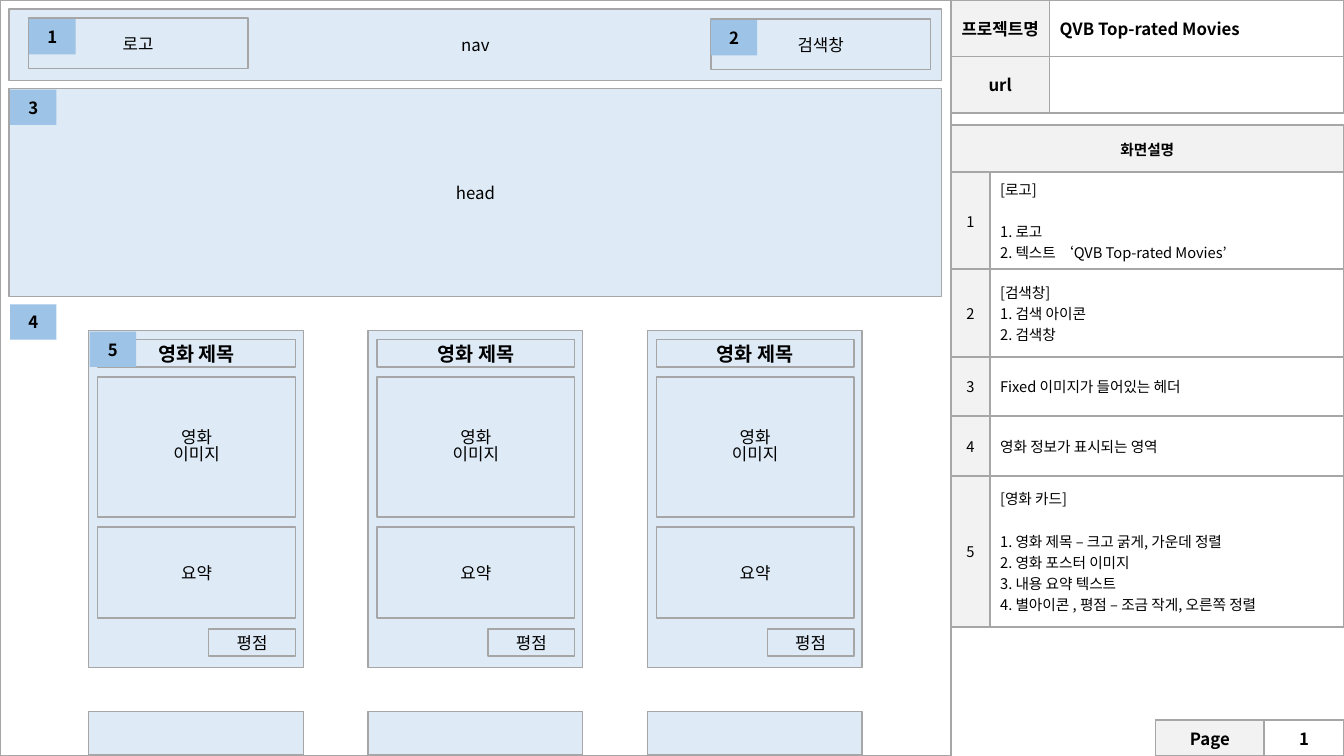
from pptx import Presentation
from pptx.dml.color import RGBColor
from pptx.enum.shapes import MSO_SHAPE
from pptx.enum.text import MSO_ANCHOR, PP_ALIGN
from pptx.oxml.ns import qn
from pptx.util import Inches, Pt
from lxml import etree

RECTANGLE = MSO_SHAPE.RECTANGLE
MIDDLE = MSO_ANCHOR.MIDDLE
LEFT, CENTER = PP_ALIGN.LEFT, PP_ALIGN.CENTER

# Content
FONT = "Noto Sans CJK KR"
COLORS = {"panel": "DEEBF7", "badge": "9DC3E6", "line": "A6A6A6",
          "label": "F2F2F2", "paper": "FFFFFF", "text": "000000"}
PROJECT = [("프로젝트명", "QVB Top-rated Movies"), ("url", "")]
PAGE = [("Page", "1")]
HEADING = "화면설명"
# Each description is a list of blocks, parted by a gap; each block is a list of lines
DESCRIPTIONS = [
    [["[로고]"], ["1. 로고", "2. 텍스트 ‘QVB Top-rated Movies’"]],
    [["[검색창]", "1. 검색 아이콘", "2. 검색창"]],
    [["Fixed 이미지가 들어있는 헤더"]],
    [["영화 정보가 표시되는 영역"]],
    [["[영화 카드]"], ["1. 영화 제목 – 크고 굵게, 가운데 정렬", "2. 영화 포스터 이미지",
                    "3. 내용 요약 텍스트", "4. 별아이콘 , 평점 – 조금 작게, 오른쪽 정렬"]],
]
# Boxes: lines, left, top, width, height
PANELS = [
    (["nav"], 0.09, 0.09, 9.25, 0.71),
    (["head"], 0.09, 0.88, 9.25, 2.06),
    (["로고"], 0.28, 0.18, 2.18, 0.5),
    (["검색창"], 7.05, 0.19, 2.18, 0.5),
]
# Card parts, with left and top measured from the corner of the card
CARD_PARTS = [
    (["영화", "이미지"], 0.09, 0.46, 1.96, 1.39, {"spacing": 0.82}),
    (["영화 제목"], 0.09, 0.09, 1.96, 0.27, {"size": 14, "bold": True}),
    (["요약"], 0.09, 1.95, 1.96, 0.9, {}),
    (["평점"], 1.19, 2.96, 0.86, 0.27, {}),
]
BADGES = [(0.29, 0.19), (7.05, 0.2), (0.1, 0.89), (0.1, 3.02), (0.89, 3.29)]

# Layout
SIDE_LEFT, SIDE_WIDTH = 9.43, 3.9
CARD_LEFT, CARD_STEP, CARD_WIDTH, CARD_COUNT = 0.88, 2.77, 2.13, 3
CARD_TOP, CARD_HEIGHT = 3.28, 3.34
NEXT_TOP, NEXT_HEIGHT = 7.06, 0.43
DESCRIPTION_ROWS = [0.47, 0.96, 0.87, 0.59, 0.59, 1.5]
BLOCK_GAP = 15.2

presentation = Presentation()
presentation.slide_width = Inches(13.33)
presentation.slide_height = Inches(7.5)
slide = presentation.slides.add_slide(presentation.slide_layouts[6])


def color(name):
    return RGBColor.from_string(COLORS[name])


def write(text_frame, blocks, size=12, bold=False, align=CENTER, spacing=None):
    """Fill a text frame with blocks of lines, one paragraph a line."""
    text_frame.word_wrap = True
    paragraph = None
    for block_index, block in enumerate(blocks):
        for line_index, line in enumerate(block):
            paragraph = text_frame.add_paragraph() if paragraph else text_frame.paragraphs[0]
            paragraph.alignment = align
            if spacing:
                paragraph.line_spacing = spacing
            if block_index and not line_index:
                paragraph.space_before = Pt(BLOCK_GAP)
            run = paragraph.add_run()
            run.text = line
            run.font.name = FONT
            run.font.size = Pt(size)
            run.font.bold = bold
            run.font.color.rgb = color("text")
            east_asian = etree.SubElement(run.font._element, qn("a:ea"))
            east_asian.set("typeface", FONT)


def add_box(left, top, width, height, fill="panel", line=1, lines=(), **text_format):
    shape = slide.shapes.add_shape(
        RECTANGLE, Inches(left), Inches(top), Inches(width), Inches(height))
    shape.shadow.inherit = False
    if fill:
        shape.fill.solid()
        shape.fill.fore_color.rgb = color(fill)
    else:
        shape.fill.background()
    if line:
        shape.line.color.rgb = color("line")
        shape.line.width = Pt(line)
    else:
        shape.line.fill.background()
    if lines:
        shape.text_frame.vertical_anchor = MIDDLE
        write(shape.text_frame, [lines], **text_format)


def style_cell(cell, fill):
    properties = cell._tc.get_or_add_tcPr()
    for side in ("a:lnL", "a:lnR", "a:lnT", "a:lnB"):
        border = etree.SubElement(properties, qn(side), w=str(Pt(1.5)))
        solid = etree.SubElement(border, qn("a:solidFill"))
        etree.SubElement(solid, qn("a:srgbClr"), val=COLORS["line"])
    cell.fill.solid()
    cell.fill.fore_color.rgb = color(fill)
    cell.vertical_anchor = MIDDLE


def add_table(left, top, columns, rows):
    """Add a table whose first column holds labels."""
    table = slide.shapes.add_table(
        len(rows), len(columns), Inches(left), Inches(top),
        Inches(sum(columns)), Inches(sum(rows))).table
    table.first_row = table.horz_banding = False
    for column, width in zip(table.columns, columns):
        column.width = Inches(width)
    for row, height in zip(table.rows, rows):
        row.height = Inches(height)
        for index, cell in enumerate(row.cells):
            style_cell(cell, "paper" if index else "label")
            if not index:
                cell.margin_left = cell.margin_right = Inches(0.05)
    return table


def add_label_table(left, top, columns, rows, content, value_align):
    table = add_table(left, top, columns, rows)
    for row, texts in zip(table.rows, content):
        for cell, text, align in zip(row.cells, texts, (CENTER, value_align)):
            if text:
                write(cell.text_frame, [[text]], bold=True, align=align)


# Screen frame and project table
add_box(0, 0, SIDE_LEFT, 7.5, fill=None, line=1.5)
add_label_table(SIDE_LEFT, 0, [0.98, 2.92], [0.56, 0.56], PROJECT, LEFT)

# Navigation and header
for lines, *place in PANELS:
    add_box(*place, lines=lines)

# Movie cards, and the tops of the next row of cards
for number in range(CARD_COUNT):
    card_left = CARD_LEFT + number * CARD_STEP
    add_box(card_left, CARD_TOP, CARD_WIDTH, CARD_HEIGHT)
    add_box(card_left, NEXT_TOP, CARD_WIDTH, NEXT_HEIGHT)
    for lines, left, top, width, height, text_format in CARD_PARTS:
        add_box(card_left + left, CARD_TOP + top, width, height, lines=lines, **text_format)

# Numbered badges
for number, (left, top) in enumerate(BADGES, start=1):
    add_box(left, top, 0.46, 0.35, fill="badge", line=None, lines=[str(number)], bold=True)

# Screen description table
description_table = add_table(SIDE_LEFT, 1.24, [0.39, SIDE_WIDTH - 0.39], DESCRIPTION_ROWS)
heading_cell = description_table.cell(0, 0)
heading_cell.merge(description_table.cell(0, 1))
write(heading_cell.text_frame, [[HEADING]], size=10.5, bold=True)
for number, blocks in enumerate(DESCRIPTIONS, start=1):
    write(description_table.cell(number, 0).text_frame, [[str(number)]], size=10.5)
    write(description_table.cell(number, 1).text_frame, blocks, size=10.5, align=LEFT)

# Page number
add_label_table(11.46, 7.14, [1.08, 0.79], [0.36], PAGE, CENTER)

presentation.save("out.pptx")
